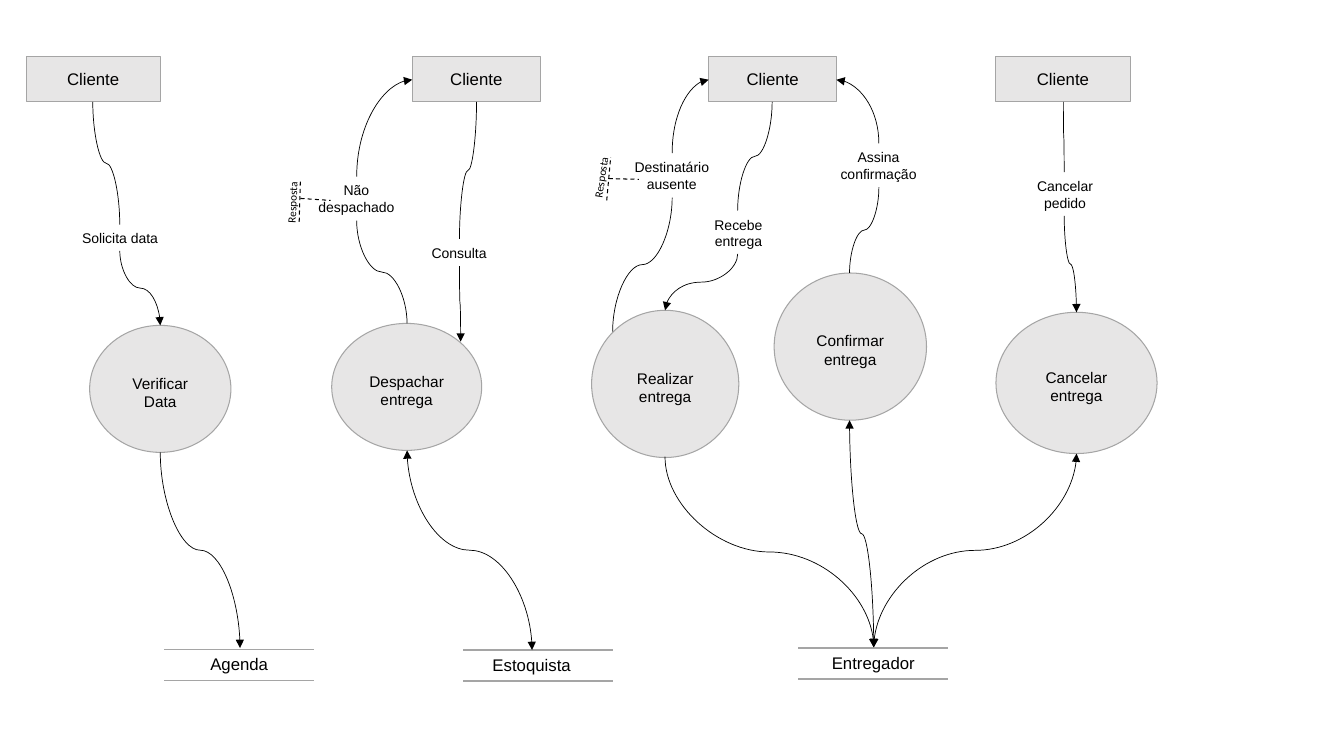
from pptx import Presentation
from pptx.dml.color import RGBColor
from pptx.enum.dml import MSO_LINE
from pptx.enum.shapes import MSO_CONNECTOR as CXN, MSO_SHAPE as SHAPE
from pptx.enum.text import MSO_ANCHOR, PP_ALIGN
from pptx.oxml.ns import qn
from pptx.util import Cm, Pt
from lxml.etree import SubElement

rgb = RGBColor.from_string
BLACK, GRAY, LIGHT = "000000", "A5A5A5", "E7E6E6"


def write(s, text, size, font="Arial"):
    tf = s.text_frame
    tf.word_wrap = True
    tf.vertical_anchor = MSO_ANCHOR.MIDDLE
    p = tf.paragraphs[0]
    p.alignment = PP_ALIGN.CENTER
    r = p.add_run()
    r.text = text
    r.font.size = Pt(size)
    r.font.name = font
    r.font.color.rgb = rgb(BLACK)
    return tf


def draw_line(kind, x1, y1, x2, y2, color, width):
    s = sp.add_connector(kind, Cm(x1), Cm(y1), Cm(x2), Cm(y2))
    s.line.color.rgb = rgb(color)
    s.line.width = Pt(width)
    SubElement(s._element.spPr, qn("a:effectLst"))
    return s


prs = Presentation()
prs.slide_width, prs.slide_height = Cm(33.87), Cm(19.05)
sp = prs.slides.add_slide(prs.slide_layouts[6]).shapes

clients = [(SHAPE.RECTANGLE, "Cliente", 12, x, 1.42, w, 1.14)
           for x, w in [(0.66, 3.38), (10.39, 3.23), (17.86, 3.23), (25.1, 3.38)]]
processes = [(SHAPE.OVAL, text, 11, *box) for text, *box in [
    ("Verificar Data", 2.26, 8.2, 3.56, 3.2),
    ("Despachar entrega", 8.36, 8.15, 3.78, 3.2),
    ("Realizar entrega", 14.91, 7.82, 3.71, 3.71),
    ("Confirmar entrega", 19.51, 6.88, 3.84, 3.71),
    ("Cancelar entrega", 25.1, 7.87, 4.06, 3.56),
]]
for kind, text, size, x, y, w, h in clients + processes:
    s = sp.add_shape(kind, Cm(x), Cm(y), Cm(w), Cm(h))
    s.shadow.inherit = False
    s.fill.solid()
    s.fill.fore_color.rgb = rgb(LIGHT)
    s.line.color.rgb = rgb(GRAY)
    s.line.width = Pt(0.75)
    tf = write(s, text, size)
    if kind == SHAPE.OVAL:
        tf.margin_top = Cm(0.3)
        tf.paragraphs[0].space_before = Pt(2.2)

stores = [
    ("Agenda", 4.14, 16.36, 4.14),
    ("Estoquista", 11.68, 16.38, 11.51),
    ("Entregador", 20.12, 16.33, 20.12),
]
for text, x, y, text_x in stores:
    for line_y in (y, y + 0.78):
        draw_line(CXN.STRAIGHT, x, line_y, x + 3.78, line_y, GRAY, 1)
    s = sp.add_textbox(Cm(text_x), Cm(y - 0.02), Cm(3.78), Cm(0.77))
    write(s, text, 12)

labels = [
    ("Solicita data", 1.12, 5.66, 3.81, 0.69),
    ("Não despachado", 7.57, 4.45, 2.82, 1.12),
    ("Consulta", 10.16, 6.02, 2.82, 0.69),
    ("Destinatário ausente", 15.52, 3.86, 2.82, 1.12),
    ("Recebe entrega", 17.2, 5.31, 2.82, 1.12),
    ("Assina confirmação", 20.73, 3.61, 2.82, 1.12),
    ("Cancelar pedido", 25.43, 4.34, 2.82, 1.12),
]
for text, x, y, w, h in labels:
    write(sp.add_textbox(Cm(x), Cm(y), Cm(w), Cm(h)), text, 10)

for x, y, angle in [(6.55, 4.8, 272.6), (14.33, 4.17, 278.7)]:
    s = sp.add_textbox(Cm(x), Cm(y), Cm(1.63), Cm(0.61))
    s.rotation = angle
    write(s, "Resposta", 8, "Calibri")

dashes = [
    (7.54, 5.59, 7.57, 4.52), (7.57, 5, 8.33, 5.05),
    (15.29, 5.05, 15.39, 3.96), (15.34, 4.5, 16.1, 4.52),
]
for ends in dashes:
    draw_line(CXN.STRAIGHT, *ends, BLACK, 0.75).line.dash_style = MSO_LINE.DASH

NONE, END, BOTH = (), ("tailEnd",), ("headEnd", "tailEnd")
S_CURVE, QUARTER = "curvedConnector3", "curvedConnector2"
flows = [
    (3.02, 5.66, 2.34, 2.57, NONE, S_CURVE),
    (3.02, 6.32, 4.04, 8.2, END, S_CURVE),
    (4.04, 11.4, 6.05, 16.33, END, S_CURVE),
    (10.26, 8.15, 8.99, 5.56, NONE, S_CURVE),
    (8.99, 4.45, 10.39, 2.01, END, QUARTER),
    (10.26, 11.35, 13.41, 16.38, BOTH, S_CURVE),
    (11.58, 6.02, 12.01, 2.57, NONE, S_CURVE),
    (11.58, 6.71, 11.61, 8.61, END, S_CURVE),
    (15.44, 8.36, 16.94, 4.98, NONE, S_CURVE),
    (16.94, 3.86, 17.86, 2.01, END, QUARTER),
    (18.59, 5.31, 19.46, 2.57, NONE, S_CURVE),
    (18.59, 6.4, 16.76, 7.82, END, S_CURVE),
    (16.76, 11.51, 22.02, 16.31, END, S_CURVE),
    (21.41, 6.88, 22.15, 4.72, NONE, S_CURVE),
    (22.15, 3.61, 21.08, 2.01, END, QUARTER),
    (21.41, 10.59, 22.02, 16.31, BOTH, S_CURVE),
    (27.13, 11.43, 22.02, 16.31, BOTH, S_CURVE),
    (26.82, 4.34, 26.8, 2.57, NONE, S_CURVE),
    (26.82, 5.44, 27.13, 7.87, END, S_CURVE),
]
for x1, y1, x2, y2, arrows, preset in flows:
    cx, cy = (x1 + x2) / 2, (y1 + y2) / 2
    dx, dy = (x2 - x1) / 2, (y2 - y1) / 2
    s = draw_line(CXN.CURVE, cx - dy, cy + dx, cx + dy, cy - dx, BLACK, 0.5)
    spPr = s._element.spPr
    spPr.find(qn("a:xfrm")).set("rot", "5400000")
    spPr.find(qn("a:prstGeom")).set("prst", preset)
    for end in arrows:
        SubElement(spPr.find(qn("a:ln")), qn("a:" + end), type="triangle")

prs.save("out.pptx")
